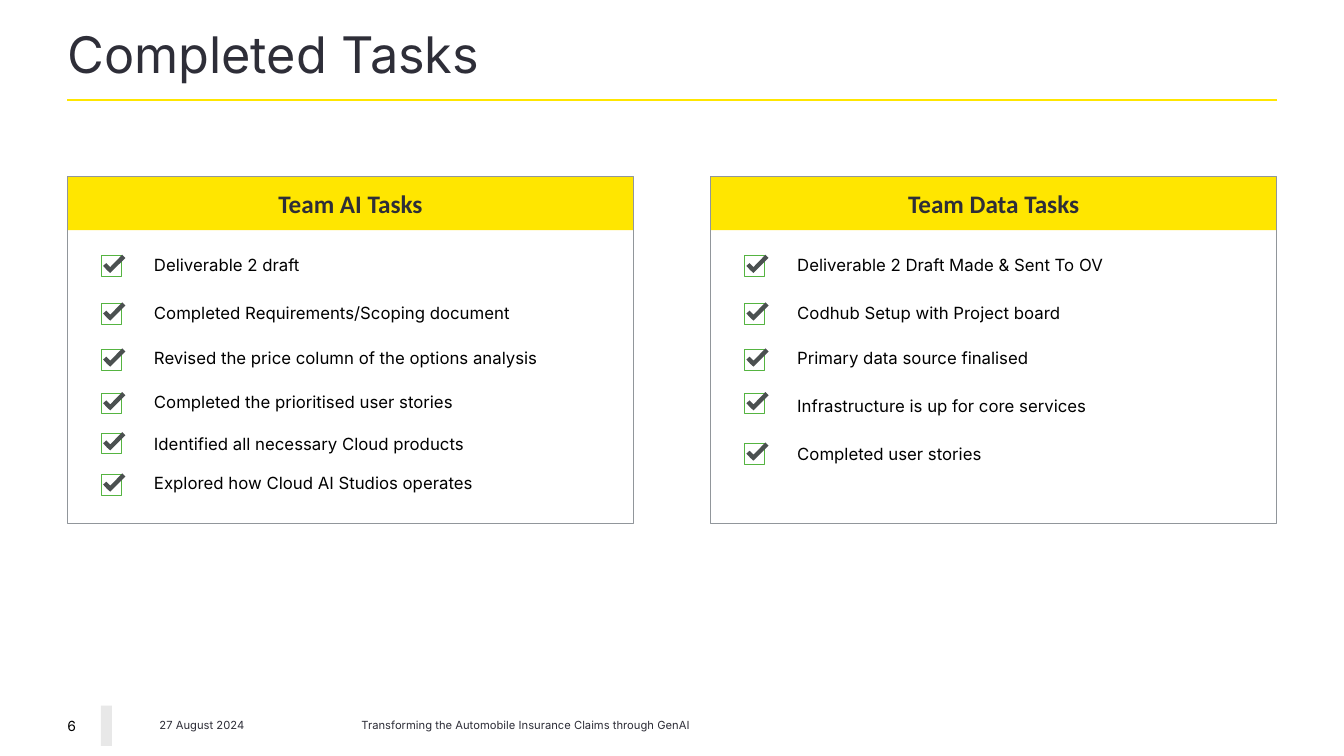
"""Build the slide that lists the completed tasks of both teams."""
from lxml import etree
from pptx import Presentation
from pptx.dml.color import RGBColor
from pptx.enum.shapes import MSO_CONNECTOR, MSO_SHAPE
from pptx.enum.text import MSO_ANCHOR, MSO_AUTO_SIZE, PP_ALIGN
from pptx.oxml.ns import qn
from pptx.util import Cm, Pt

RECTANGLE = MSO_SHAPE.RECTANGLE
STRAIGHT = MSO_CONNECTOR.STRAIGHT
TOP, MIDDLE = MSO_ANCHOR.TOP, MSO_ANCHOR.MIDDLE
LEFT, CENTER = PP_ALIGN.LEFT, PP_ALIGN.CENTER
NO_AUTOFIT = MSO_AUTO_SIZE.NONE

TITLE = "Completed Tasks"
TEAMS = [
    {
        "heading": "Team AI Tasks",
        "tasks": [
            "Deliverable 2 draft",
            "Completed Requirements/Scoping document",
            "Revised the price column of the options analysis",
            "Completed the prioritised user stories",
            "Identified all necessary Cloud products",
            "Explored how Cloud AI Studios operates",
        ],
        "task_tops": [6.17, 7.37, 8.53, 9.63, 10.69, 11.68],
        "checkbox_tops": [6.45, 7.65, 8.81, 9.91, 10.92, 11.96],
    },
    {
        "heading": "Team Data Tasks",
        "tasks": [
            "Deliverable 2 Draft Made & Sent To OV",
            "Codhub Setup with Project board",
            "Primary data source finalised",
            "Infrastructure is up for core services",
            "Completed user stories",
        ],
        "task_tops": [6.17, 7.37, 8.53, 9.73, 10.95],
        "checkbox_tops": [6.45, 7.65, 8.81, 9.91, 11.18],
    },
]
COLORS = {
    "yellow": "FFE600", "ink": "2E2E38", "black": "000000", "border": "91969B",
    "checkbox": "55B441", "tick": "4B5050", "bar": "E8E8E8",
}
FORMATS = {
    "title": {"name": "Inter", "size": Pt(36), "bold": False, "color": "ink"},
    "heading": {"name": "Calibri", "size": Pt(18), "bold": True, "color": "ink"},
    "task": {"name": "Inter", "size": Pt(12), "bold": False, "color": "black"},
    "footer": {"name": "Inter", "size": Pt(8), "bold": False, "color": "ink"},
    "number": {"name": "Inter", "size": Pt(10), "bold": False, "color": "black"},
}
FOOTERS = [
    ("6", (1.7, 17.78, 1.27, 1.02), "number", MIDDLE, (0, 0.13, 0.25, 0.13)),
    ("27 August 2024", (3.77, 17.98, 3.3, 0.51), "footer", TOP, (0.25, 0.13, 0.25, 0.13)),
    ("Transforming the Automobile Insurance Claims through GenAI",
     (8.86, 17.98, 9.02, 0.51), "footer", TOP, (0.25, 0.13, 0.25, 0.13)),
]

MARGIN, CONTENT_WIDTH = 1.7, 30.48
PANEL_TOP, PANEL_WIDTH, PANEL_HEIGHT, HEADING_HEIGHT = 4.45, 14.27, 8.74, 1.35
PANEL_STEP = CONTENT_WIDTH - PANEL_WIDTH
CHECKBOX_OFFSET, CHECKBOX_SIZE = 0.85, 0.52
TASKS_OFFSET, TASKS_WIDTH, TASKS_HEIGHT = 1.93, 11.35, 6.6
TASK_LINE = 14.5
TICK = [(0.13, 0.18), (0.23, 0.28), (0.53, -0.03), (0.61, 0.05),
        (0.23, 0.43), (0.15, 0.36), (0.05, 0.25)]


def rgb(color):
    return RGBColor.from_string(COLORS[color])


def lengths(values):
    return [Cm(value) for value in values]


def paint(shape, fill=None, line=None):
    shape.shadow.inherit = False
    if fill:
        shape.fill.solid()
        shape.fill.fore_color.rgb = rgb(fill)
    else:
        shape.fill.background()
    if line:
        shape.line.color.rgb = rgb(line)
        shape.line.width = Pt(0.75)
    else:
        shape.line.fill.background()


def add_box(slide, place, fill=None, line=None):
    box = slide.shapes.add_shape(RECTANGLE, *lengths(place))
    paint(box, fill, line)
    return box


def place_placeholder(placeholder, place):
    for side, value in zip(("left", "top", "width", "height"), lengths(place)):
        setattr(placeholder, side, value)


def set_frame(frame, anchor, insets):
    frame.word_wrap = True
    frame.auto_size = NO_AUTOFIT
    frame.vertical_anchor = anchor
    for side, value in zip(("left", "top", "right", "bottom"), lengths(insets)):
        setattr(frame, f"margin_{side}", value)


def write(paragraph, text, format_name, alignment=LEFT):
    paragraph.alignment = alignment
    run = paragraph.add_run()
    run.text = text
    for key, value in FORMATS[format_name].items():
        if key == "color":
            run.font.color.rgb = rgb(value)
        else:
            setattr(run.font, key, value)


def add_checkbox(slide, left, top):
    add_box(slide, (left, top, CHECKBOX_SIZE, CHECKBOX_SIZE), line="checkbox")
    corners = [(Cm(left + x), Cm(top + y)) for x, y in TICK]
    outline = slide.shapes.build_freeform(*corners[0])
    outline.add_line_segments(corners[1:], close=True)
    paint(outline.convert_to_shape(), "tick")


def fill_tasks(placeholder, team, left):
    tops = team["task_tops"]
    place_placeholder(placeholder, (left, tops[0], TASKS_WIDTH, TASKS_HEIGHT))
    frame = placeholder.text_frame
    set_frame(frame, TOP, (0.25, 0.25, 0.25, 0.25))
    for index, task in enumerate(team["tasks"]):
        paragraph = frame.add_paragraph() if index else frame.paragraphs[0]
        gap = Cm(tops[index] - tops[index - 1]).pt - TASK_LINE if index else 0
        paragraph.space_before = Pt(gap)
        properties = paragraph._p.get_or_add_pPr()
        properties.set("marL", "0")
        properties.set("indent", "0")
        etree.SubElement(properties, qn("a:buNone"))
        write(paragraph, task, "task")


def add_team(slide, team, placeholder, left):
    heading = add_box(slide, (left, PANEL_TOP, PANEL_WIDTH, HEADING_HEIGHT), "yellow")
    set_frame(heading.text_frame, MIDDLE, (0.25, 0.13, 0.25, 0.13))
    write(heading.text_frame.paragraphs[0], team["heading"], "heading", CENTER)
    add_box(slide, (left, PANEL_TOP, PANEL_WIDTH, PANEL_HEIGHT), line="border")
    for top in team["checkbox_tops"]:
        add_checkbox(slide, left + CHECKBOX_OFFSET, top)
    fill_tasks(placeholder, team, left + TASKS_OFFSET)


def add_title(slide):
    title = slide.shapes.title
    place_placeholder(title, (MARGIN, 0.58, CONTENT_WIDTH, 1.9))
    set_frame(title.text_frame, TOP, (0, 0, 0, 0))
    write(title.text_frame.paragraphs[0], TITLE, "title")
    rule = slide.shapes.add_connector(
        STRAIGHT, *lengths((MARGIN, 2.52, MARGIN + CONTENT_WIDTH, 2.52)))
    rule.line.color.rgb = rgb("yellow")
    rule.line.width = Pt(1.5)
    etree.SubElement(rule._element.spPr, qn("a:effectLst"))


def add_footers(slide):
    add_box(slide, (2.54, 17.78, 0.28, 1.02), "bar")
    for text, place, format_name, anchor, insets in FOOTERS:
        footer = slide.shapes.add_textbox(*lengths(place))
        set_frame(footer.text_frame, anchor, insets)
        write(footer.text_frame.paragraphs[0], text, format_name)


def main():
    deck = Presentation()
    deck.slide_width, deck.slide_height = Cm(33.87), Cm(19.05)
    slide = deck.slides.add_slide(deck.slide_layouts[3])
    add_title(slide)
    for index, team in enumerate(TEAMS):
        add_team(slide, team, slide.placeholders[index + 1], MARGIN + index * PANEL_STEP)
    add_footers(slide)
    deck.save("out.pptx")


if __name__ == "__main__":
    main()
